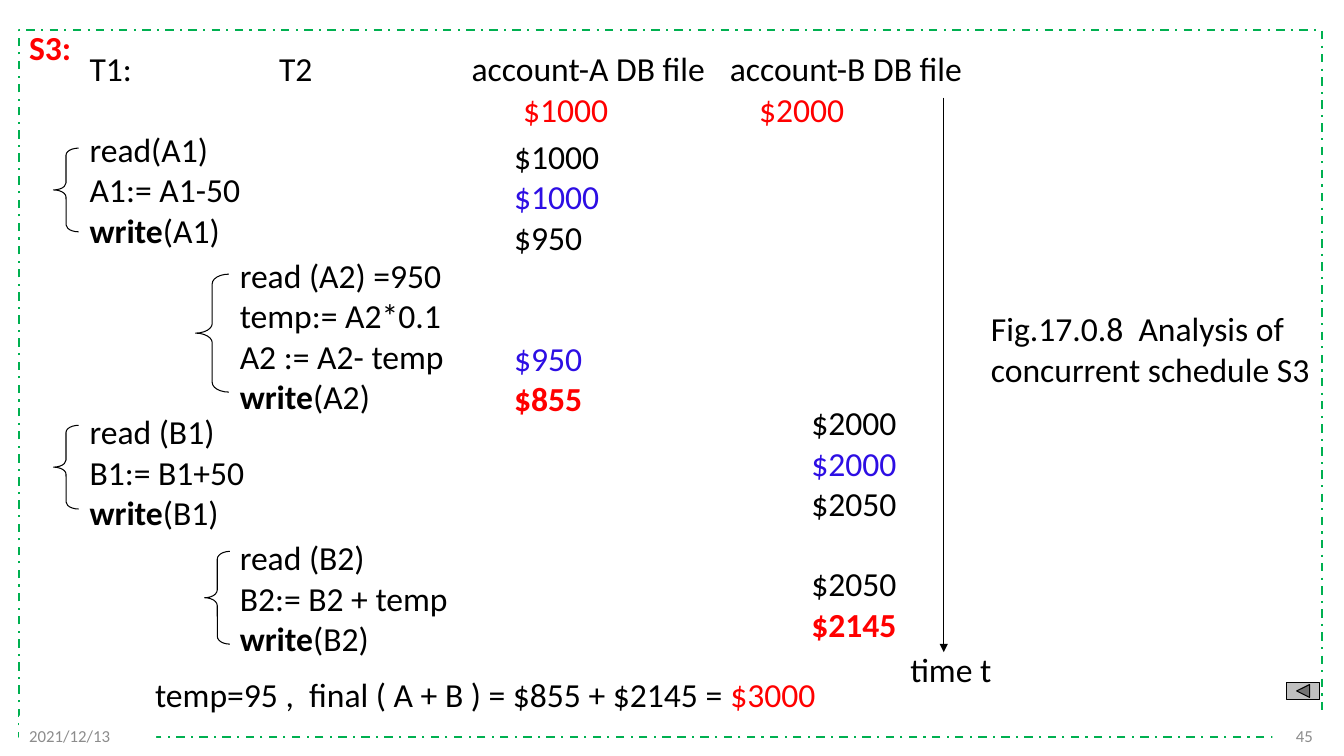
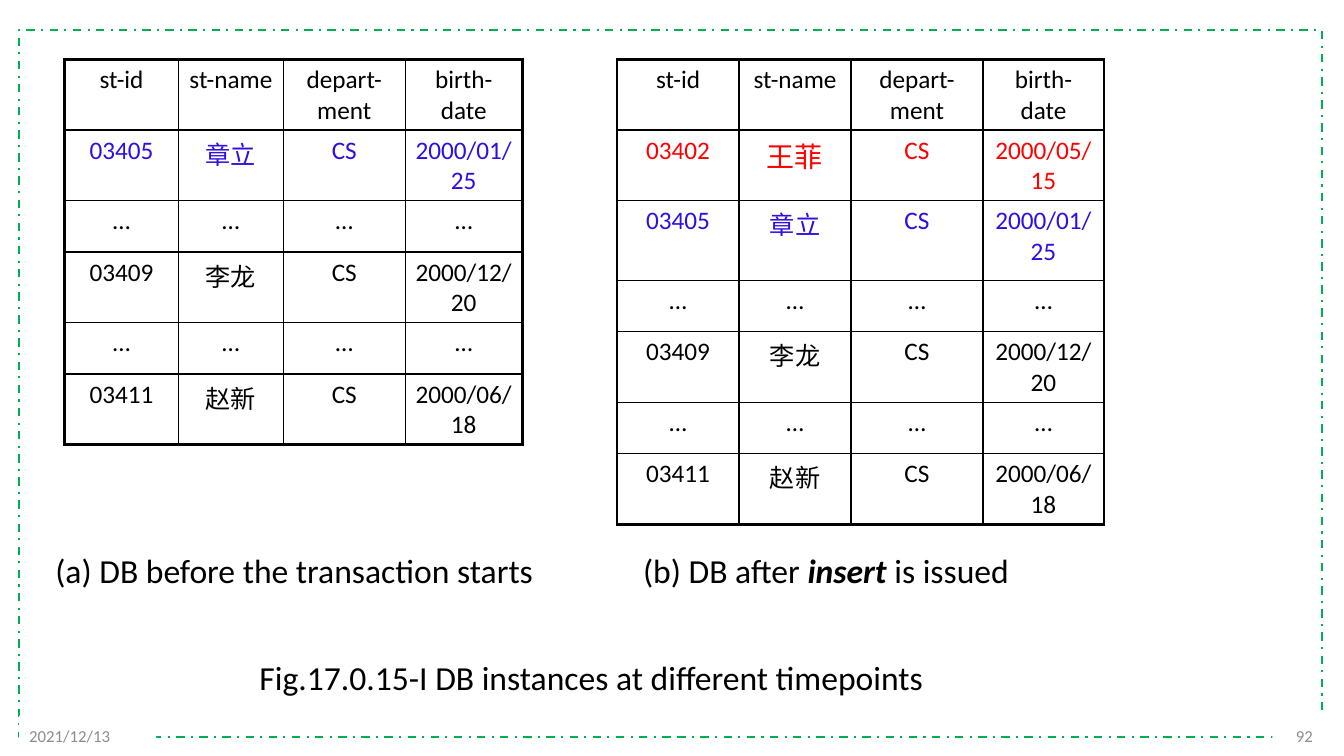
from lxml.etree import SubElement
from pptx import Presentation
from pptx.dml.color import RGBColor
from pptx.enum.dml import MSO_LINE
from pptx.enum.shapes import MSO_CONNECTOR, MSO_SHAPE
from pptx.enum.text import MSO_ANCHOR, PP_ALIGN
from pptx.oxml.ns import qn
from pptx.util import Inches, Pt

BLACK, WHITE, RED, BLUE = "000000", "FFFFFF", "FF0000", "2D0EE4"
GREEN, GREY, SILVER = "00B050", "8C8C8C", "C0C0C0"
FONT = "Calibri"
PITCH = 0.4
tint = RGBColor.from_string


def write(frame, lines, size=24, align=PP_ALIGN.LEFT):
    """Fill a frame; a line is a list of runs, each (text, colour, "b"/"i" marks)."""
    frame.word_wrap = True
    for i, line in enumerate(lines):
        para = frame.paragraphs[0] if i == 0 else frame.add_paragraph()
        para.alignment = align
        for text, hue, marks in line:
            run = para.add_run()
            run.text = text
            font = run.font
            font.name, font.size = FONT, Pt(size)
            font.bold, font.italic = "b" in marks, "i" in marks
            font.color.rgb = tint(hue)


def put(slide, left, top, width, height, lines, **style):
    """Add a text box and return it."""
    box = slide.shapes.add_textbox(Inches(left), Inches(top), Inches(width), Inches(height))
    write(box.text_frame, lines, **style)
    return box


deck = Presentation()
deck.slide_width, deck.slide_height = Inches(13.33), Inches(7.5)
blank = deck.slide_layouts[6]
plan, store = [deck.slides.add_slide(blank) for _ in range(2)]

# Shared dashed frame, kept on the layout
edge = plan.shapes.add_shape(MSO_SHAPE.RECTANGLE, Inches(0.19), Inches(0.3), Inches(12.92), Inches(7.01))
edge.shadow.inherit = False
edge.fill.background()
edge.line.color.rgb = tint(GREEN)
edge.line.width = Pt(1.5)
edge.line.dash_style = MSO_LINE.DASH_DOT
blank.shapes.element.append(edge.element)

# Footers
for slide, page in ((plan, "45"), (store, "92")):
    for left, width, text, align in (
        (12.62, 0.5, page, PP_ALIGN.RIGHT),
        (0.19, 1.36, "2021/12/13", PP_ALIGN.LEFT),
    ):
        foot = put(slide, left, 7.1, width, 0.4, [[(text, GREY, "")]], size=12, align=align)
        foot.fill.solid()
        foot.fill.fore_color.rgb = tint(WHITE)
        foot.text_frame.vertical_anchor = MSO_ANCHOR.MIDDLE

# Schedule: labels and opening balances
for left, top, width, text, hue, marks in (
    (0.19, 0.22, 0.8, "S3:", RED, "b"),
    (0.79, 0.43, 1, "T1:", BLACK, ""),
    (2.67, 0.43, 1, "T2", BLACK, ""),
    (4.58, 0.43, 2.7, "account-A DB file", BLACK, ""),
    (7.14, 0.43, 2.7, "account-B DB file", BLACK, ""),
    (5.09, 0.83, 1.4, "$1000", RED, ""),
    (7.43, 0.83, 1.4, "$2000", RED, ""),
    (8.93, 6.39, 1.2, "time t", BLACK, ""),
):
    put(plan, left, top, width, 0.5, [[(text, hue, marks)]])

# Schedule: steps, each block closing with a write
for left, top, steps, item in (
    (0.79, 1.23, ["read(A1)", "A1:= A1-50"], "(A1)"),
    (2.28, 2.48, ["read (A2) =950", "temp:= A2*0.1", "A2 := A2- temp"], "(A2)"),
    (0.79, 4.03, ["read (B1)", "B1:= B1+50"], "(B1)"),
    (2.28, 5.28, ["read (B2)", "B2:= B2 + temp"], "(B2)"),
):
    lines = [[(step, BLACK, "")] for step in steps]
    lines.append([("write", BLACK, "b"), (item, BLACK, "")])
    put(plan, left, top, 2.4, PITCH * len(lines) + 0.1, lines)

# Schedule: values read and written
for left, top, sums in (
    (5, 1.3, [("$1000", BLACK, ""), ("$1000", BLUE, ""), ("$950", BLACK, "")]),
    (5, 3.3, [("$950", BLUE, ""), ("$855", RED, "b")]),
    (7.95, 3.94, [("$2000", BLACK, ""), ("$2000", BLUE, ""), ("$2050", BLACK, "")]),
    (7.95, 5.54, [("$2050", BLACK, ""), ("$2145", RED, "b")]),
):
    put(plan, left, top, 1.36, PITCH * len(sums) + 0.1, [[cash] for cash in sums])

put(plan, 1.44, 6.64, 7.3, 0.5, [[
    ("temp=95 ,  final ( A + B ) = $855 + $2145 = ", BLACK, ""),
    ("$3000", RED, ""),
]])
put(plan, 9.73, 3.01, 3.39, 0.91,
    [[("Fig.17.0.8  Analysis of concurrent schedule S3", BLACK, "")]])

for left, top, width, height, bend in (
    (0.53, 1.47, 0.25, 0.83, 0.28),
    (0.53, 4.22, 0.25, 0.83, 0.28),
    (1.94, 2.72, 0.33, 1.17, 0.29),
    (2.03, 5.47, 0.25, 0.92, 0.31),
):
    brace = plan.shapes.add_shape(
        MSO_SHAPE.LEFT_BRACE, Inches(left), Inches(top), Inches(width), Inches(height))
    brace.shadow.inherit = False
    brace.adjustments[0] = bend
    brace.fill.background()
    brace.line.color.rgb = tint(BLACK)
    brace.line.width = Pt(0.75)

back = plan.shapes.add_shape(
    MSO_SHAPE.ACTION_BUTTON_BACK_OR_PREVIOUS, Inches(12.76), Inches(6.77), Inches(0.33), Inches(0.17))
back.shadow.inherit = False
back.fill.solid()
back.fill.fore_color.rgb = tint(SILVER)
back.line.color.rgb = tint(BLACK)
back.line.width = Pt(0.75)

time = plan.shapes.add_connector(
    MSO_CONNECTOR.STRAIGHT, Inches(9.36), Inches(0.97), Inches(9.36), Inches(6.47))
time.line.color.rgb = tint(BLACK)
time.line.width = Pt(0.75)
SubElement(time.line._get_or_add_ln(), qn("a:tailEnd"), type="triangle")
SubElement(time.element.spPr, qn("a:effectLst"))

# Tables before and after the insert: row height, colour, cells
head = (0.7, BLACK, ["st-id", "st-name", "depart-ment", "birth-date"])
gap = (0.51, BLACK, ["…"] * 4)
first = ["03405", "章立", "CS", "2000/01/25"]
tail = [
    gap,
    (0.7, BLACK, ["03409", "李龙", "CS", "2000/12/20"]),
    gap,
    (0.7, BLACK, ["03411", "赵新", "CS", "2000/06/18"]),
]
before = [head, (0.7, BLUE, first)] + tail
after = [head, (0.7, RED, ["03402", "王菲", "CS", "2000/05/15"]), (0.79, BLUE, first)] + tail

for left, cols, rows in (
    (0.64, [1.13, 1.04, 1.21, 1.16], before),
    (6.12, [1.21, 1.11, 1.31, 1.2], after),
):
    high = sum(row[0] for row in rows)
    grid = store.shapes.add_table(
        len(rows), len(cols), Inches(left), Inches(0.59), Inches(sum(cols)), Inches(high)).table
    grid.first_row = grid.horz_banding = False
    for c, width in enumerate(cols):
        grid.columns[c].width = Inches(width)
    for r, (height, hue, texts) in enumerate(rows):
        grid.rows[r].height = Inches(height)
        for c, text in enumerate(texts):
            cell = grid.cell(r, c)
            size = 20 if text == "王菲" else 18
            write(cell.text_frame, [[(text, hue, "")]], size=size, align=PP_ALIGN.CENTER)
            props = cell._tc.get_or_add_tcPr()
            for side, outer in (
                ("L", c == 0),
                ("R", c == len(cols) - 1),
                ("T", r == 0),
                ("B", r == len(rows) - 1),
            ):
                rule = SubElement(props, qn("a:ln" + side), w=str(Pt(2.25 if outer else 1)))
                SubElement(SubElement(rule, qn("a:solidFill")), qn("a:srgbClr"), val=BLACK)
            cell.fill.background()

put(store, 0.45, 5.41, 5.18, 0.5, [[("(a) DB before the transaction starts", BLACK, "")]])
put(store, 6.28, 5.41, 4.66, 0.5, [[
    ("(b) DB after ", BLACK, ""),
    ("insert", BLACK, "bi"),
    (" is issued", BLACK, ""),
]])
title = put(store, 2.24, 6.3, 7.25, 0.67,
            [[("Fig.17.0.15-I DB instances at different timepoints", BLACK, "")]],
            align=PP_ALIGN.CENTER)
title.text_frame.vertical_anchor = MSO_ANCHOR.BOTTOM

deck.save("out.pptx")
